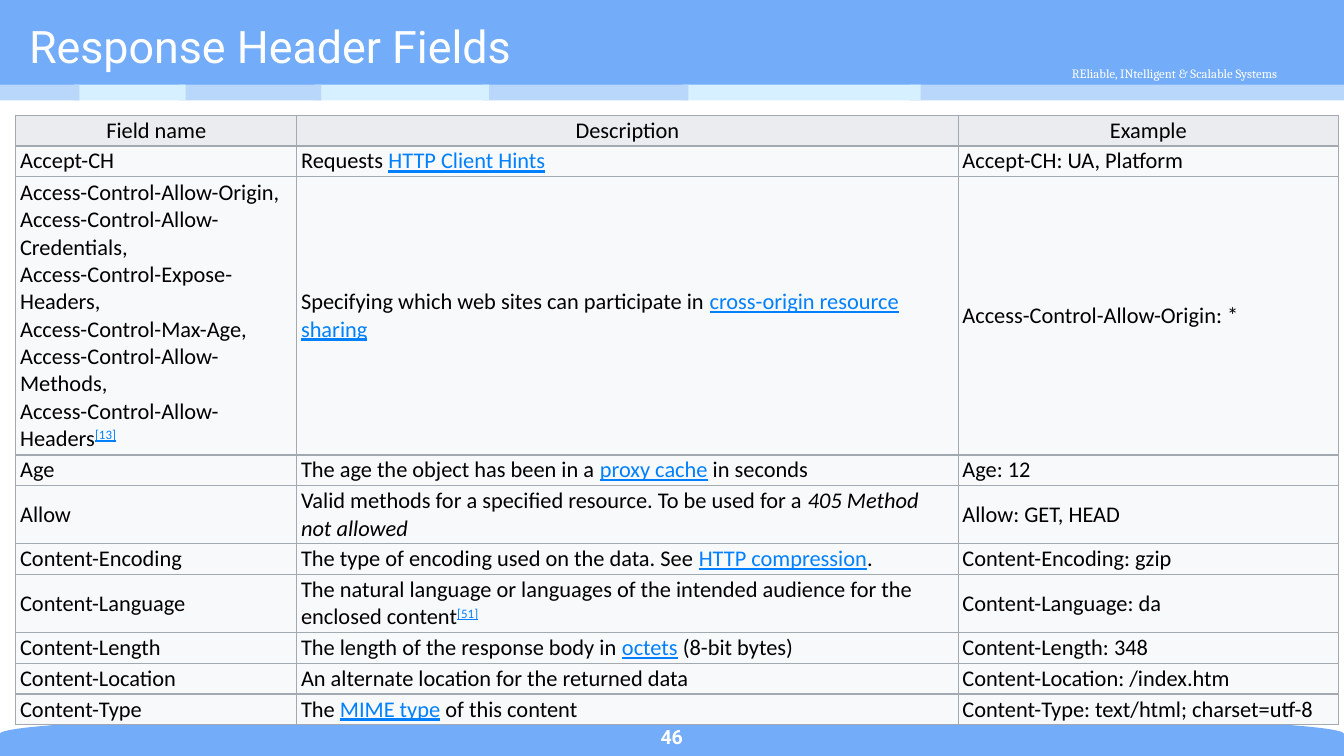
from lxml import etree
from pptx import Presentation
from pptx.dml.color import RGBColor
from pptx.enum.shapes import MSO_SHAPE
from pptx.enum.text import MSO_ANCHOR, PP_ALIGN
from pptx.oxml.ns import qn
from pptx.util import Cm, Pt

RECTANGLE, DELAY = MSO_SHAPE.RECTANGLE, MSO_SHAPE.FLOWCHART_DELAY
LEFT, CENTER = PP_ALIGN.LEFT, PP_ALIGN.CENTER
MIDDLE, TOP = MSO_ANCHOR.MIDDLE, MSO_ANCHOR.TOP

COLORS = {
    "blue": "73ACF8", "band": "B9D6FB", "light band": "D6F0FF",
    "white": "FFFFFF", "black": "000000", "link": "0080FF",
    "head": "EAECF0", "body": "F8F9FA", "border": "A2A9B1",
}


def rgb(name):
    return RGBColor.from_string(COLORS[name])


def add_block(kind, left, top, width, height, color):
    block = slide.shapes.add_shape(kind, Cm(left), Cm(top), Cm(width), Cm(height))
    block.shadow.inherit = False
    block.fill.solid()
    block.fill.fore_color.rgb = rgb(color)
    block.line.fill.background()
    return block


prs = Presentation()
prs.slide_width, prs.slide_height = Cm(25.4), Cm(14.29)
slide = prs.slides.add_slide(prs.slide_layouts[6])

# Footer and header bars
footer = add_block(DELAY, 12.28, 1.17, 0.84, 25.4, "blue")
footer.rotation = 270
add_block(RECTANGLE, 0, 0, 25.4, 1.65, "blue")

# Strip of alternating bands under the header, from right to left
bands = [(17.2, 8.2), (12.9, 4.5), (9.12, 3.89), (5.94, 3.3),
         (3.38, 2.69), (1.4, 2.11), (0, 1.5)]
for index, (left, width) in enumerate(bands):
    add_block(RECTANGLE, left, 1.6, width, 0.3, "light band" if index % 2 else "band")

# Title, tagline and page number
captions = [
    ("Response Header Fields", (0.3, 0.3, 18.95, 1.14), LEFT, MIDDLE,
     {"size": Pt(24), "name": "Roboto"}),
    ("REliable, INtelligent & Scalable Systems", (19.1, 1.12, 6.2, 0.53), CENTER, TOP,
     {"size": Pt(6.8), "name": "Cambria"}),
    ("46", (11.3, 13.59, 2.79, 0.66), CENTER, MIDDLE,
     {"size": Pt(10.5), "name": "Roboto", "bold": True}),
]
for text, place, align, anchor, style in captions:
    frame = slide.shapes.add_textbox(*map(Cm, place)).text_frame
    frame.word_wrap = True
    frame.vertical_anchor = anchor
    line = frame.paragraphs[0]
    line.alignment = align
    run = line.add_run()
    run.text = text
    run.font.color.rgb = rgb("white")
    for key, value in style.items():
        setattr(run.font, key, value)

# Header fields: lines taken by the row, then three cells of (text, style) pieces
cors_fields = ["Access-Control-Allow-Origin,", "Access-Control-Allow-Credentials,",
               "Access-Control-Expose-Headers,", "Access-Control-Max-Age,",
               "Access-Control-Allow-Methods,", "Access-Control-Allow-Headers"]
header_fields = [
    (1, "Field name", "Description", "Example"),
    (1, "Accept-CH",
     [("Requests ", "plain"), ("HTTP Client Hints", "link")],
     "Accept-CH: UA, Platform"),
    (10, [("\n".join(cors_fields), "plain"), ("[13]", "note")],
     [("Specifying which web sites can participate in ", "plain"),
      ("cross-origin resource sharing", "link")],
     "Access-Control-Allow-Origin: *"),
    (1, "Age",
     [("The age the object has been in a ", "plain"), ("proxy cache", "link"),
      (" in seconds", "plain")],
     "Age: 12"),
    (2, "Allow",
     [("Valid methods for a specified resource. To be used for a ", "plain"),
      ("405 Method not allowed", "italic")],
     "Allow: GET, HEAD"),
    (1, "Content-Encoding",
     [("The type of encoding used on the data. See ", "plain"),
      ("HTTP compression", "link"), (".", "plain")],
     "Content-Encoding: gzip"),
    (2, "Content-Language",
     [("The natural language or languages of the intended audience "
       "for the enclosed content", "plain"), ("[51]", "note")],
     "Content-Language: da"),
    (1, "Content-Length",
     [("The length of the response body in ", "plain"), ("octets", "link"),
      (" (8-bit bytes)", "plain")],
     "Content-Length: 348"),
    (1, "Content-Location", "An alternate location for the returned data",
     "Content-Location: /index.htm"),
    (1, "Content-Type",
     [("The ", "plain"), ("MIME type", "link"), (" of this content", "plain")],
     "Content-Type: text/html; charset=utf-8"),
]
text_styles = {
    "plain": {},
    "italic": {"italic": True},
    "link": {"underline": True},
    "note": {"underline": True},
}
cell_format = {"margin_left": Cm(0.08), "margin_right": Cm(0.08), "margin_top": Cm(0.03),
               "margin_bottom": Cm(0.03), "vertical_anchor": MIDDLE}
row_heights = [0.52 * lines + 0.06 for lines, *_ in header_fields]
column_widths = [5.31, 12.5, 7.19]

fields_table = slide.shapes.add_table(
    len(header_fields), len(column_widths), Cm(0.3), Cm(2.18),
    Cm(sum(column_widths)), Cm(sum(row_heights))).table
fields_table.horz_banding = False
for column, width in zip(fields_table.columns, column_widths):
    column.width = Cm(width)

for r, (_, *cells) in enumerate(header_fields):
    fields_table.rows[r].height = Cm(row_heights[r])
    for c, pieces in enumerate(cells):
        cell = fields_table.cell(r, c)
        for key, value in cell_format.items():
            setattr(cell, key, value)

        # Borders come before the fill in the cell properties
        properties = cell._tc.get_or_add_tcPr()
        for side in ("a:lnL", "a:lnR", "a:lnT", "a:lnB"):
            border = etree.SubElement(properties, qn(side), w=str(Pt(0.75)))
            border_fill = etree.SubElement(border, qn("a:solidFill"))
            etree.SubElement(border_fill, qn("a:srgbClr"), val=COLORS["border"])
        cell.fill.solid()
        cell.fill.fore_color.rgb = rgb("body" if r else "head")

        # Text pieces
        line = cell.text_frame.paragraphs[0]
        line.alignment = LEFT if r else CENTER
        if isinstance(pieces, str):
            pieces = [(pieces, "plain")]
        for text, style in pieces:
            for number, part in enumerate(text.split("\n")):
                if number:
                    line.add_line_break()
                run = line.add_run()
                run.text = part
                linked = style in ("link", "note")
                font_format = {"size": Pt(12), "name": "Calibri", "bold": False}
                for key, value in {**font_format, **text_styles[style]}.items():
                    setattr(run.font, key, value)
                run.font.color.rgb = rgb("link" if linked else "black")
                if style == "note":
                    run.font._element.set("baseline", "30000")

prs.save("out.pptx")
